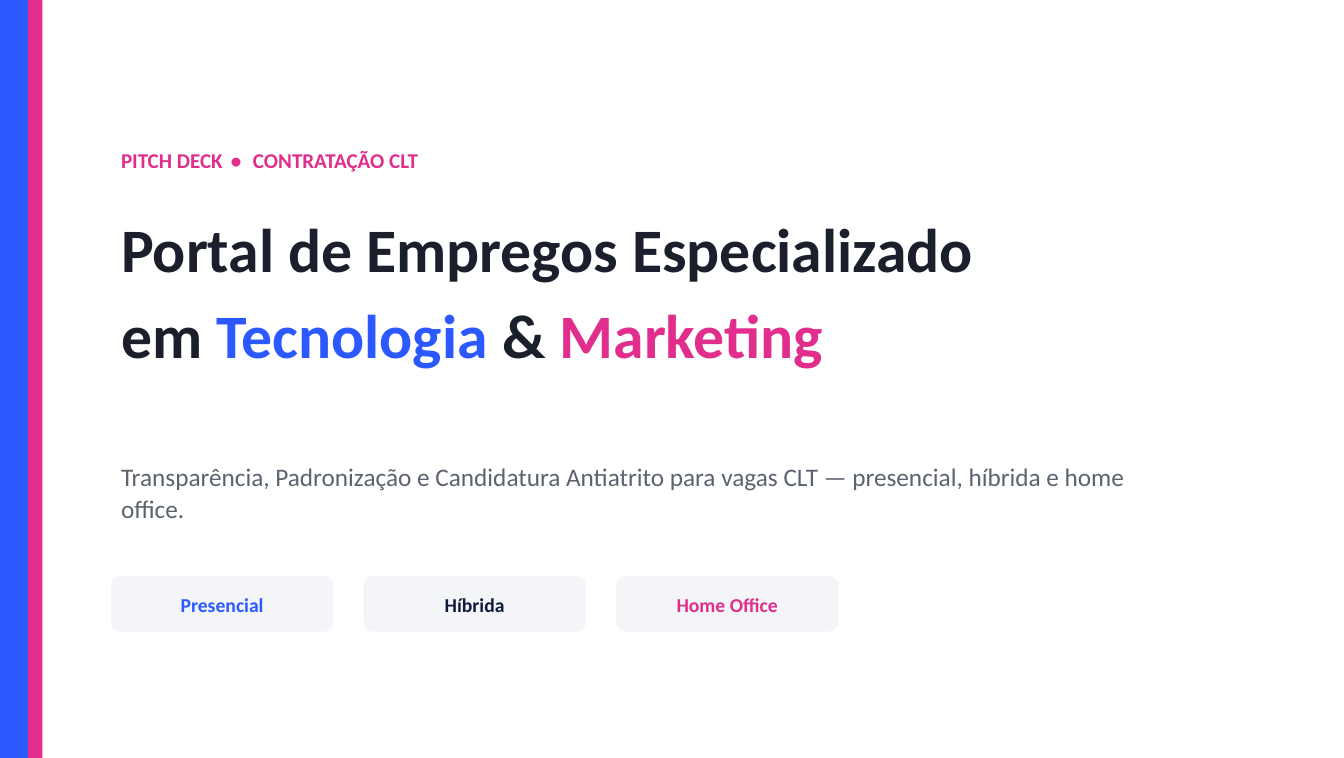
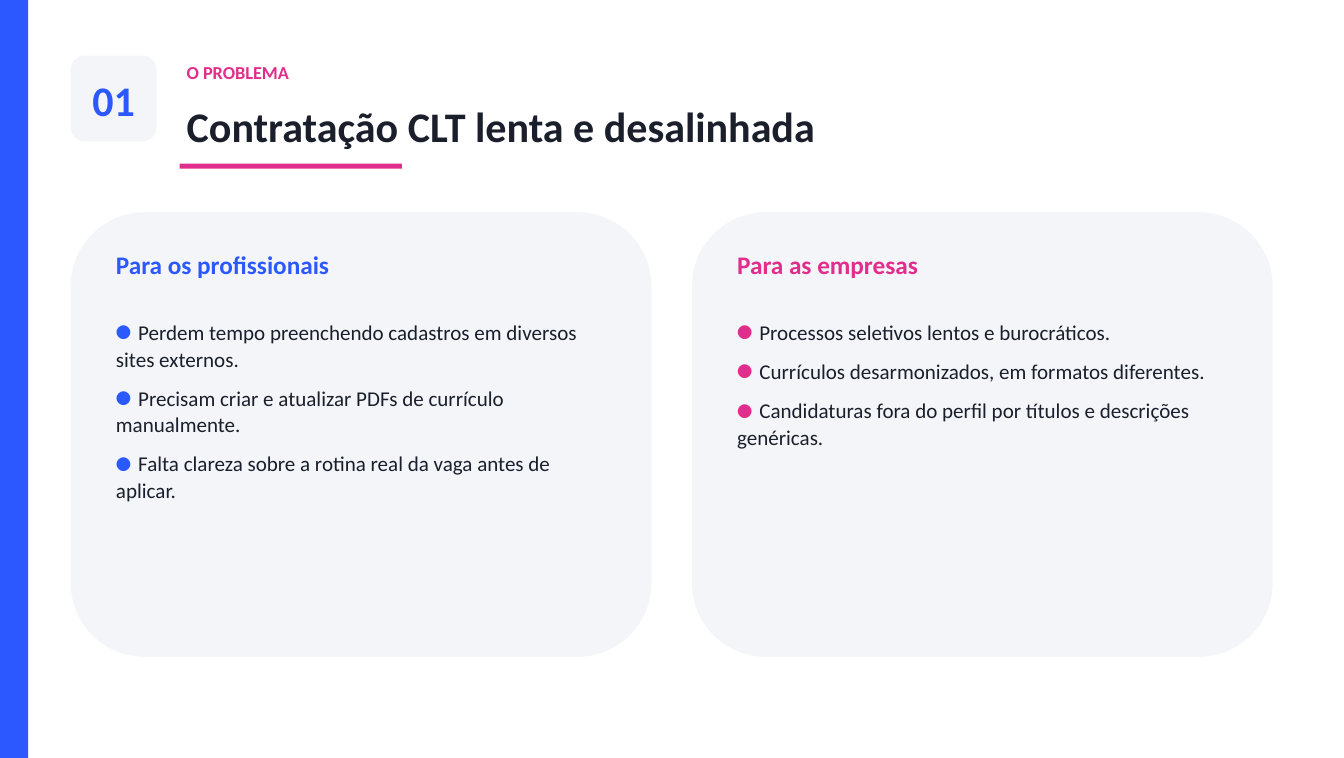
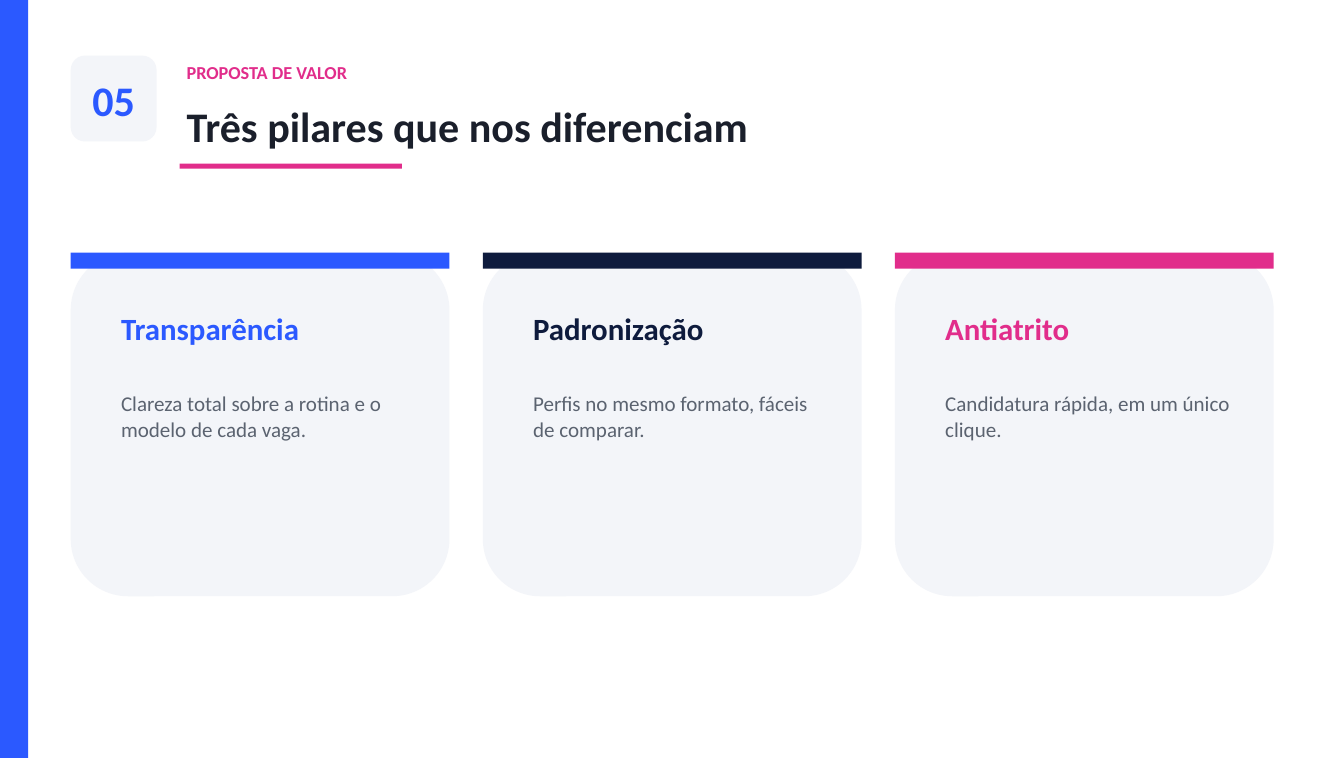
from lxml.etree import SubElement
from pptx import Presentation
from pptx.dml.color import RGBColor
from pptx.enum.shapes import MSO_SHAPE
from pptx.enum.text import MSO_ANCHOR, PP_ALIGN
from pptx.oxml.ns import qn
from pptx.util import Inches, Pt

BLUE = "2B59FF"
PINK = "E12D8B"
NAVY = "0E1B3D"
INK = "1A1F2B"
GRAY = "5B6370"
PANEL = "F3F5F9"
FONT = "Calibri"
BULLET_FONT = "Noto Sans CJK SC"
SLIDE_WIDTH, SLIDE_HEIGHT = 13.306, 7.5
MARGIN = 0.7


def rgb(color):
    return RGBColor.from_string(color)


def add_bullet(paragraph, color):
    properties = paragraph._p.get_or_add_pPr()
    properties.set("marL", "0")
    properties.set("indent", "0")
    bullet_color = SubElement(properties, qn("a:buClr"))
    SubElement(bullet_color, qn("a:srgbClr"), val=color)
    SubElement(properties, qn("a:buSzPct"), val="73000")
    SubElement(properties, qn("a:buFont"), typeface=BULLET_FONT)
    SubElement(properties, qn("a:buChar"), char="●")
    tabs = SubElement(properties, qn("a:tabLst"))
    SubElement(tabs, qn("a:tab"), pos=str(Inches(0.22)), algn="l")


def write(frame, paragraphs, size, color, bold=False, after=6,
          align=PP_ALIGN.LEFT, anchor=MSO_ANCHOR.TOP, bullet=None):
    frame.word_wrap = True
    frame.vertical_anchor = anchor
    for index, runs in enumerate(paragraphs):
        paragraph = frame.paragraphs[0] if index == 0 else frame.add_paragraph()
        if bullet:
            add_bullet(paragraph, bullet)
        paragraph.alignment = align
        paragraph.line_spacing = 1.05
        paragraph.space_after = Pt(after)
        parts = [(runs, color)] if isinstance(runs, str) else runs
        for text, run_color, *spacing in parts:
            run = paragraph.add_run()
            run.text = "\t" + text if bullet else text
            run.font.name = FONT
            run.font.size = Pt(size)
            run.font.bold = bold
            run.font.color.rgb = rgb(run_color)
            if spacing:
                run._r.get_or_add_rPr().set("spc", str(spacing[0]))


def add_text(slide, left, top, width, height, *paragraphs, **text_format):
    box = slide.shapes.add_textbox(
        Inches(left), Inches(top), Inches(width), Inches(height))
    write(box.text_frame, paragraphs, **text_format)


def add_block(slide, left, top, width, height, fill, kind=MSO_SHAPE.RECTANGLE):
    shape = slide.shapes.add_shape(
        kind, Inches(left), Inches(top), Inches(width), Inches(height))
    shape.shadow.inherit = False
    shape.fill.solid()
    shape.fill.fore_color.rgb = rgb(fill)
    shape.line.fill.background()
    return shape


def add_panel(slide, left, top, width, height):
    return add_block(slide, left, top, width, height, PANEL,
                     MSO_SHAPE.ROUNDED_RECTANGLE)


def add_label(slide, left, top, width, height, text, size, color):
    panel = add_panel(slide, left, top, width, height)
    write(panel.text_frame, [text], size=size, color=color, bold=True, after=0,
          align=PP_ALIGN.CENTER, anchor=MSO_ANCHOR.MIDDLE)


def new_slide(presentation):
    slide = presentation.slides.add_slide(presentation.slide_layouts[6])
    add_block(slide, 0, 0, 0.28, SLIDE_HEIGHT, BLUE)
    return slide


def new_section_slide(presentation, number, section, title):
    slide = new_slide(presentation)
    add_label(slide, MARGIN, 0.55, 0.85, 0.85, number, 30, BLUE)
    add_text(slide, 1.75, 0.55, 10.5, 0.4, section, size=13, color=PINK, bold=True)
    add_text(slide, 1.75, 0.92, 11, 0.7, title, size=30, color=INK, bold=True)
    add_block(slide, 1.78, 1.62, 2.2, 0.05, PINK)
    return slide


def add_problem_card(slide, left, title, items, color):
    add_panel(slide, left, 2.1, 5.75, 4.4)
    add_text(slide, left + 0.35, 2.4, 5.1, 0.5, title, size=18, color=color, bold=True)
    add_text(slide, left + 0.35, 3.1, 5.1, 3.2, *items,
             size=15, color=INK, after=9, bullet=color)


def add_pillar_card(slide, left, title, description, color):
    add_panel(slide, left, 2.5, 3.75, 3.4)
    add_block(slide, left, 2.5, 3.75, 0.16, color)
    add_text(slide, left + 0.4, 3, 3, 0.6, title, size=22, color=color, bold=True)
    add_text(slide, left + 0.4, 3.8, 3.1, 1.8, description, size=15, color=GRAY)


def build_cover(presentation):
    slide = new_slide(presentation)
    add_block(slide, 0.28, 0, 0.14, SLIDE_HEIGHT, PINK)
    add_text(slide, 1.1, 1.4, 11, 0.6,
             [("PITCH DECK", PINK), (" • ", PINK, 240), ("CONTRATAÇÃO CLT", PINK)],
             size=15, color=PINK, bold=True)
    add_text(slide, 1.1, 2, 11.2, 2.2,
             "Portal de Empregos Especializado",
             [("em ", INK), ("Tecnologia", BLUE), (" & ", INK), ("Marketing", PINK)],
             size=44, color=INK, bold=True)
    add_text(slide, 1.1, 4.5, 10.5, 1,
             "Transparência, Padronização e Candidatura Antiatrito para vagas CLT "
             "— presencial, híbrida e home office.", size=18, color=GRAY)
    modes = [("Presencial", BLUE), ("Híbrida", NAVY), ("Home Office", PINK)]
    for index, (mode, color) in enumerate(modes):
        add_label(slide, 1.1 + 2.5 * index, 5.7, 2.2, 0.55, mode, 14, color)


def build_problem(presentation):
    slide = new_section_slide(presentation, "01", "O PROBLEMA",
                              "Contratação CLT lenta e desalinhada")
    cards = [
        ("Para os profissionais", [
            "Perdem tempo preenchendo cadastros em diversos sites externos.",
            "Precisam criar e atualizar PDFs de currículo manualmente.",
            "Falta clareza sobre a rotina real da vaga antes de aplicar.",
        ], BLUE),
        ("Para as empresas", [
            "Processos seletivos lentos e burocráticos.",
            "Currículos desarmonizados, em formatos diferentes.",
            "Candidaturas fora do perfil por títulos e descrições genéricas.",
        ], PINK),
    ]
    for index, card in enumerate(cards):
        add_problem_card(slide, MARGIN + 6.15 * index, *card)


def build_pillars(presentation):
    slide = new_section_slide(presentation, "05", "PROPOSTA DE VALOR",
                              "Três pilares que nos diferenciam")
    pillars = [
        ("Transparência", "Clareza total sobre a rotina e o modelo de cada vaga.", BLUE),
        ("Padronização", "Perfis no mesmo formato, fáceis de comparar.", NAVY),
        ("Antiatrito", "Candidatura rápida, em um único clique.", PINK),
    ]
    for index, pillar in enumerate(pillars):
        add_pillar_card(slide, MARGIN + 4.08 * index, *pillar)


def main():
    presentation = Presentation()
    presentation.slide_width = Inches(SLIDE_WIDTH)
    presentation.slide_height = Inches(SLIDE_HEIGHT)
    build_cover(presentation)
    build_problem(presentation)
    build_pillars(presentation)
    presentation.save("out.pptx")


if __name__ == "__main__":
    main()
